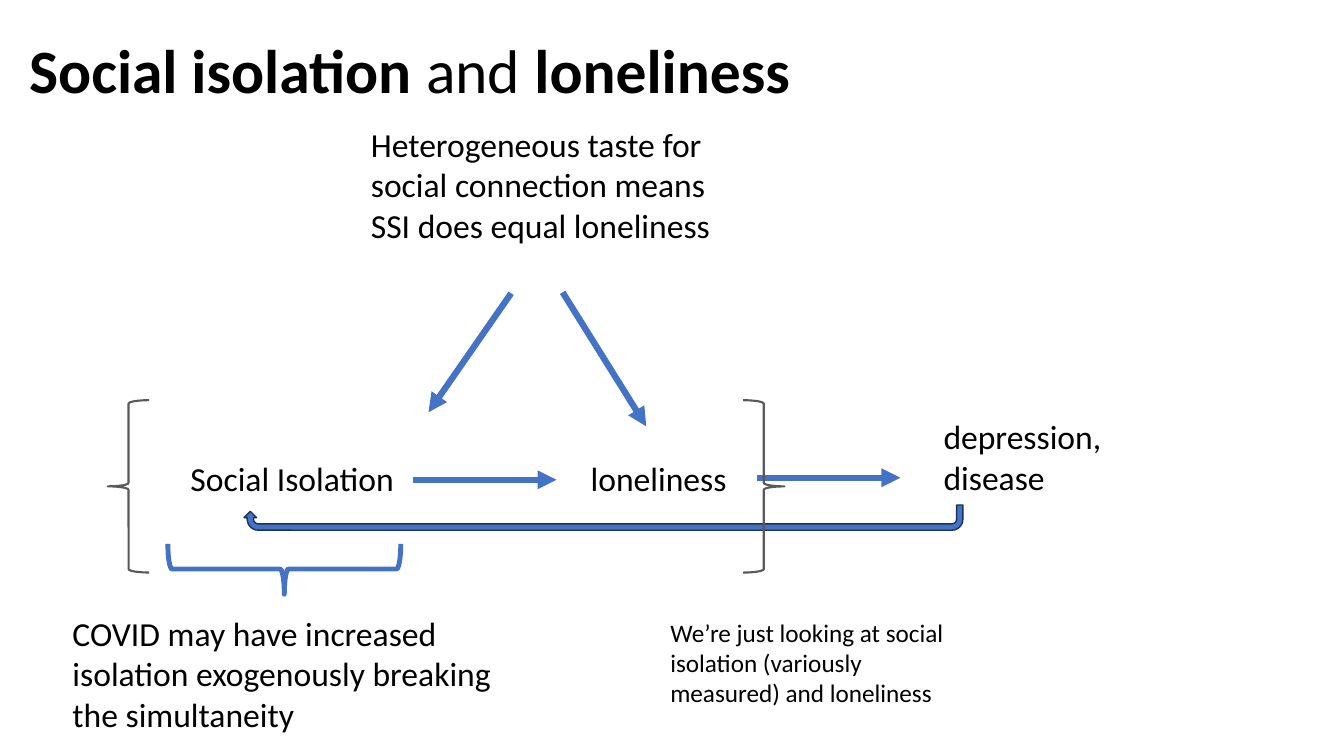
from dataclasses import dataclass

from lxml.etree import SubElement
from pptx import Presentation
from pptx.dml.color import RGBColor
from pptx.enum.shapes import MSO_CONNECTOR, MSO_SHAPE
from pptx.enum.text import MSO_ANCHOR
from pptx.oxml.ns import qn
from pptx.util import Inches, Pt


@dataclass(frozen=True)
class Theme:
    font: str = "Calibri"
    ink: str = "000000"
    blue: str = "4472C4"
    navy: str = "1E3256"
    gray: str = "595959"
    head: int = 44
    body: int = 24
    note: int = 18


THEME = Theme()


def color(code):
    return RGBColor.from_string(code)


def add_text(slide, box, runs, size=THEME.body, anchor=MSO_ANCHOR.TOP, space=1.0):
    """Place one paragraph made of (text, bold) runs."""
    frame = slide.shapes.add_textbox(*map(Inches, box)).text_frame
    for name, value in {"word_wrap": True, "vertical_anchor": anchor}.items():
        setattr(frame, name, value)
    para = frame.paragraphs[0]
    para.line_spacing = space
    for text, bold in runs:
        run = para.add_run()
        run.text = text
        style = {"name": THEME.font, "size": Pt(size), "bold": bold}
        for name, value in style.items():
            setattr(run.font, name, value)
        run.font.color.rgb = color(THEME.ink)


def add_arrow(slide, start, end):
    line = slide.shapes.add_connector(
        MSO_CONNECTOR.STRAIGHT, *map(Inches, start + end))
    line.line.color.rgb = color(THEME.blue)
    line.line.width = Pt(4.5)
    SubElement(line.line._get_or_add_ln(), qn("a:tailEnd"), type="triangle")
    SubElement(line._element.spPr, qn("a:effectLst"))


def add_form(slide, kind, box, turn, edge, width, fill=None):
    form = slide.shapes.add_shape(kind, *map(Inches, box))
    form.rotation = turn
    form.shadow.inherit = False
    form.line.color.rgb = color(edge)
    form.line.width = Pt(width)
    if fill:
        form.fill.solid()
        form.fill.fore_color.rgb = color(fill)
    else:
        form.fill.background()


def add_title(slide, box):
    runs = [("Social isolation ", True), ("and ", False), ("loneliness", True)]
    add_text(slide, box, runs, THEME.head, MSO_ANCHOR.MIDDLE, 0.9)


def add_cause(slide, box):
    """Place the shared cause and its two arrows down to the chain."""
    left, top, wide, high = box
    add_text(slide, box, [(
        "Heterogeneous taste for social connection means "
        "SSI does equal loneliness", False)])
    mid, base = left + wide / 2, top + high
    add_arrow(slide, (mid - 0.45, base + 0.42), (mid - 1.27, base + 1.6))
    add_arrow(slide, (mid + 0.06, base + 0.41), (mid + 0.89, base + 1.74))


def add_chain(slide, box):
    """Place isolation, loneliness and disease, with arrows and braces."""
    left, top, wide, high = box
    row = top + 0.52
    terms = [("Social Isolation", 0.72, row, 2.31, 0.5),
             ("loneliness", 4.69, row, 1.65, 0.5),
             ("depression, disease", 8.19, top + 0.11, 2.31, 0.91)]
    for term, shift, y, w, h in terms:
        add_text(slide, (left + shift, y, w, h), [(term, False)])
    for shift, y in ((3.03, row + 0.27), (6.44, row + 0.25)):
        add_arrow(slide, (left + shift, y), (left + shift + 1.42, y))
    add_form(slide, MSO_SHAPE.U_TURN_ARROW,
             (left + 1.35, top + 1.04, 7.13, 0.25), 180,
             THEME.navy, 1, THEME.blue)
    brace = 0.41
    for x, turn in ((left, 0), (left + wide - brace, 180)):
        add_form(slide, MSO_SHAPE.LEFT_BRACE, (x, top, brace, high), turn,
                 THEME.gray, 1.5)


def add_notes(slide, box):
    """Place the shock with its brace, and the remark on scope."""
    left, top, wide, high = box
    add_text(slide, (left, top, 4.65, high), [(
        "COVID may have increased isolation exogenously breaking "
        "the simultaneity", False)])
    add_form(slide, MSO_SHAPE.LEFT_BRACE,
             (left + 1.95, top - 1.54, 0.5, 2.31), 270, THEME.blue, 3.5)
    note = 3.23
    add_text(slide, (left + wide - note, top + 0.04, note, 1.01), [(
        "We’re just looking at social isolation (variously measured) "
        "and loneliness", False)], THEME.note)


def main():
    deck = Presentation()
    size = {"slide_width": Inches(13.33), "slide_height": Inches(7.5)}
    for name, value in size.items():
        setattr(deck, name, value)
    slide = deck.slides.add_slide(deck.slide_layouts[6])
    add_title(slide, (0.19, 0, 10.79, 1.45))
    add_cause(slide, (3.58, 1.18, 3.88, 1.31))
    add_chain(slide, (1.07, 3.97, 6.71, 1.71))
    add_notes(slide, (0.62, 6.03, 9.16, 1.31))
    deck.save("out.pptx")


if __name__ == "__main__":
    main()
